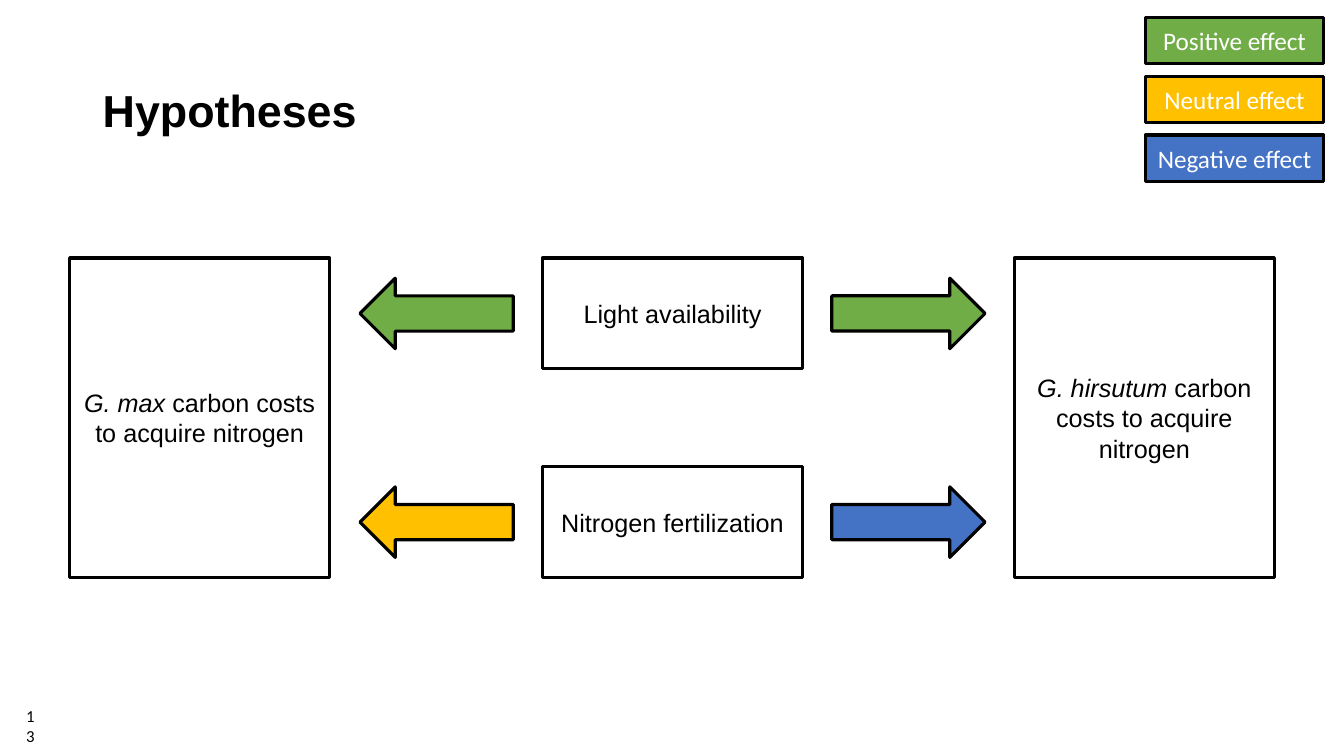
from pptx import Presentation
from pptx.dml.color import RGBColor
from pptx.enum.shapes import MSO_SHAPE as Shape
from pptx.enum.text import MSO_ANCHOR as Anchor, PP_ALIGN as Align
from pptx.util import Inches, Pt

COLORS = {
    "positive": "70AD47",
    "neutral": "FFC000",
    "negative": "4472C4",
    "ink": "000000",
    "paper": "FFFFFF",
}
TITLE = "Hypotheses"
PAGE_NUMBER = "13"
LEGEND = [
    ("Positive effect", "positive"),
    ("Neutral effect", "neutral"),
    ("Negative effect", "negative"),
]
TREATMENTS = [
    ("Light availability", "positive", "positive"),
    ("Nitrogen fertilization", "neutral", "negative"),
]
SPECIES = [("G. max", 0.69), ("G. hirsutum", 10.06)]
OUTCOME = " carbon costs to acquire nitrogen"

BOX_WIDTH, BOX_HEIGHT = 2.58, 1.1
ARROW_WIDTH, ARROW_HEIGHT = 1.52, 0.7
ROW_TOP, ROW_STEP = 2.56, 2.07
TREATMENT_LEFT = 5.38
ARROW_GAP = 0.29
LEGEND_TOP, LEGEND_STEP = 0.17, 0.585


def color(name):
    return RGBColor.from_string(COLORS[name])


def write(frame, spans, size, font="Arial", ink="ink", align=Align.LEFT, anchor=Anchor.MIDDLE):
    frame.word_wrap = True
    frame.vertical_anchor = anchor
    para = frame.paragraphs[0]
    para.alignment = align
    for text, style in spans:
        span = para.add_run()
        span.text = text
        span.font.name = font
        span.font.size = Pt(size)
        span.font.bold = style == "bold"
        span.font.italic = style == "italic"
        span.font.color.rgb = color(ink)
    return para


def add_outlined(page, kind, left, top, width, height, fill=None):
    shape = page.shapes.add_shape(kind, Inches(left), Inches(top), Inches(width), Inches(height))
    shape.shadow.inherit = False
    if fill:
        shape.fill.solid()
        shape.fill.fore_color.rgb = color(fill)
    else:
        shape.fill.background()
    shape.line.color.rgb = color("ink")
    shape.line.width = Pt(2.25)
    return shape


def add_text(page, left, top, width, height):
    return page.shapes.add_textbox(Inches(left), Inches(top), Inches(width), Inches(height)).text_frame


def build():
    deck = Presentation()
    deck.slide_width, deck.slide_height = Inches(13.33), Inches(7.5)
    page = deck.slides.add_slide(deck.slide_layouts[6])

    right_arrow_left = TREATMENT_LEFT + BOX_WIDTH + ARROW_GAP
    left_arrow_left = TREATMENT_LEFT - ARROW_GAP - ARROW_WIDTH
    for row, (label, left_effect, right_effect) in enumerate(TREATMENTS):
        top = ROW_TOP + row * ROW_STEP
        box = add_outlined(page, Shape.RECTANGLE, TREATMENT_LEFT, top, BOX_WIDTH, BOX_HEIGHT)
        write(box.text_frame, [(label, None)], 18, align=Align.CENTER)
        arrow_top = top + (BOX_HEIGHT - ARROW_HEIGHT) / 2
        for left, effect, turn in [(left_arrow_left, left_effect, 180), (right_arrow_left, right_effect, 0)]:
            arrow = add_outlined(page, Shape.RIGHT_ARROW, left, arrow_top, ARROW_WIDTH, ARROW_HEIGHT, effect)
            arrow.rotation = turn

    for name, left in SPECIES:
        box = add_outlined(page, Shape.RECTANGLE, left, ROW_TOP, BOX_WIDTH, ROW_STEP + BOX_HEIGHT)
        write(box.text_frame, [(name, "italic"), (OUTCOME, None)], 18, align=Align.CENTER)

    title = write(add_text(page, 0.92, 0.4, 11.5, 1.45), [(TITLE, "bold")], 32)
    title.line_spacing = 0.9

    for row, (label, effect) in enumerate(LEGEND):
        key = add_outlined(page, Shape.RECTANGLE, 11.36, LEGEND_TOP + row * LEGEND_STEP, 1.77, 0.46, effect)
        write(key.text_frame, [(label, None)], 18, "Calibri", "paper", Align.CENTER)

    write(add_text(page, 0.16, 6.95, 0.29, 0.3), [(PAGE_NUMBER, None)], 12, "Calibri", anchor=Anchor.TOP)
    deck.save("out.pptx")


if __name__ == "__main__":
    build()
